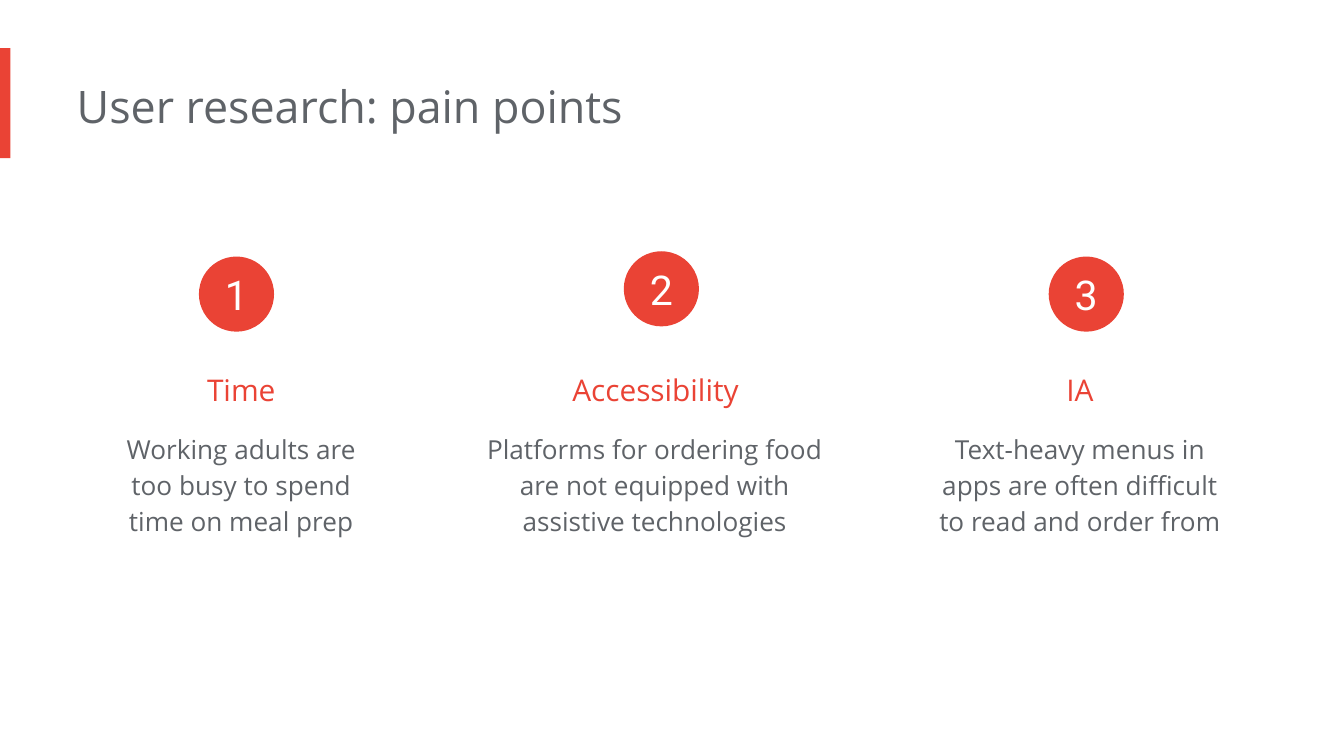
from pptx import Presentation
from pptx.dml.color import RGBColor
from pptx.enum.shapes import MSO_SHAPE
from pptx.enum.text import MSO_ANCHOR, MSO_AUTO_SIZE, PP_ALIGN
from pptx.util import Cm, Pt

RED = RGBColor(0xEA, 0x43, 0x35)
GREY = RGBColor(0x5F, 0x63, 0x68)
WHITE = RGBColor(0xFF, 0xFF, 0xFF)
RECT, OVAL = MSO_SHAPE.RECTANGLE, MSO_SHAPE.OVAL
LEFT, CENTER = PP_ALIGN.LEFT, PP_ALIGN.CENTER
TOP, MIDDLE = MSO_ANCHOR.TOP, MSO_ANCHOR.MIDDLE
GROW, FIXED = MSO_AUTO_SIZE.SHAPE_TO_FIT_TEXT, MSO_AUTO_SIZE.NONE

TITLE = {"size": Pt(24), "name": "Open Sans", "color": GREY}
HEAD = {"size": Pt(16), "name": "Open Sans", "color": RED}
BODY = {"size": Pt(14), "name": "Open Sans", "color": GREY}
NUMBER = {"size": Pt(22), "name": "Roboto", "color": WHITE}

deck = Presentation()
deck.slide_width, deck.slide_height = Cm(25.4), Cm(14.29)
slide = deck.slides.add_slide(deck.slide_layouts[6])
shapes = slide.shapes


def add_block(kind, left, top, width, height):
    """Add a plain red shape without outline or shadow."""
    block = shapes.add_shape(kind, Cm(left), Cm(top), Cm(width), Cm(height))
    block.shadow.inherit = False
    block.fill.solid()
    block.fill.fore_color.rgb = RED
    block.line.fill.background()
    return block


def write(shape, text, style, align=CENTER, spacing=1.0, pad=0.25,
          anchor=TOP, fit=GROW):
    """Fill a shape with one styled paragraph; the left inset is always zero."""
    frame = shape.text_frame
    layout = {"word_wrap": True, "auto_size": fit, "vertical_anchor": anchor,
              "margin_left": 0, "margin_top": Cm(pad),
              "margin_right": Cm(pad), "margin_bottom": Cm(pad)}
    for key, value in layout.items():
        setattr(frame, key, value)
    para = frame.paragraphs[0]
    para.alignment, para.line_spacing = align, spacing
    run = para.add_run()
    run.text = text
    for key, value in style.items():
        if key == "color":
            run.font.color.rgb = value
        else:
            setattr(run.font, key, value)


add_block(RECT, 0, 0.91, 0.2, 2.08)
title = shapes.add_textbox(Cm(1.45), Cm(1.24), Cm(17.09), Cm(1.55))
write(title, "User research: pain points", TITLE, align=LEFT)

# Head, body, head left, body left, body width, circle top
POINTS = [
    ("Time", "Working adults are too busy to spend time on meal prep",
     2.08, 2.08, 5.21, 4.85),
    ("Accessibility",
     "Platforms for ordering food are not equipped with assistive technologies",
     9.91, 9.07, 6.86, 4.75),
    ("IA", "Text-heavy menus in apps are often difficult to read and order from",
     17.93, 17.73, 5.61, 4.85),
]

for i, (head, body, head_x, body_x, width, top) in enumerate(POINTS):
    box = shapes.add_textbox(Cm(head_x), Cm(6.43), Cm(5.21), Cm(1.19))
    write(box, head, HEAD, spacing=1.5)
    box = shapes.add_textbox(Cm(body_x), Cm(7.85), Cm(width), Cm(2.49))
    write(box, body, BODY, spacing=1.15)
    disc = add_block(OVAL, 3.76 + 8.03 * i, top, 1.42, 1.42)
    write(disc, str(i + 1), NUMBER, pad=0, anchor=MIDDLE, fit=FIXED)

deck.save("out.pptx")
